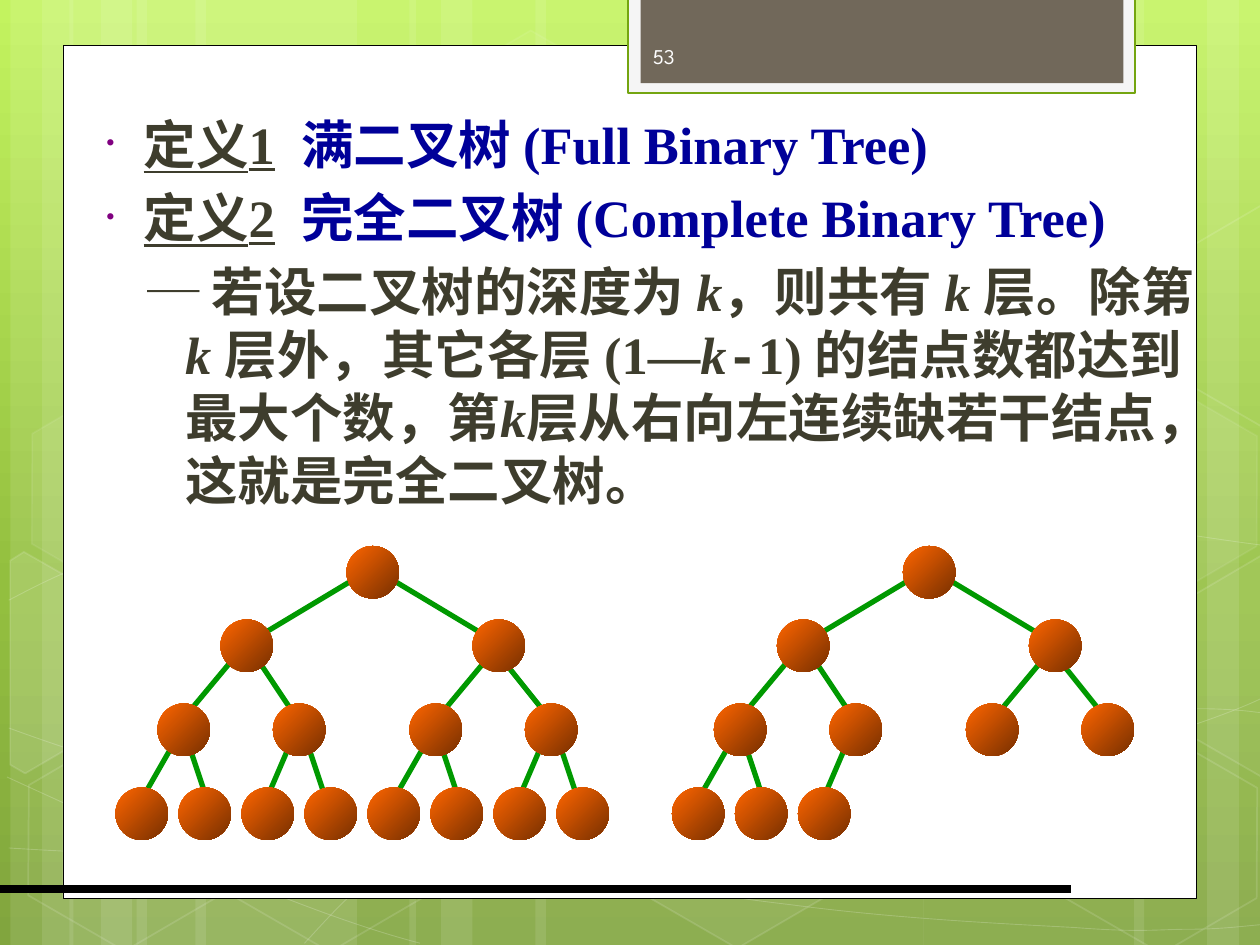
from copy import deepcopy
from lxml.etree import SubElement
from pptx import Presentation
from pptx.dml.color import RGBColor
from pptx.enum.shapes import MSO_CONNECTOR, MSO_SHAPE as SHAPE
from pptx.enum.text import MSO_ANCHOR
from pptx.oxml.ns import qn
from pptx.util import Pt

WHITE, GREEN, DARK, NAVY = "FFFFFF", "009900", "3E3D2D", "000099"
SERIF, MONO = "Times New Roman", "Courier New"

BACKDROP = [(0, "C3F35F"), (62, "93BF3F"), (100, "81A53E")]
BALL = [(0, "FF6600"), (100, "762F00")]

BARS = [(78, 126), (6, 36), (24, 60), (111.6, 126), (39.6, 36), (57.6, 60),
        (527.8, 126), (689.8, 36), (648, 60), (306, 222), (234, 36), (252, 60)]

CURVES = [
    [(5, 484.6), (44, 487), (83, 489), (137, 488), (191, 487), (258, 486), (330, 479),
     (402, 472), (504, 458), (570, 444), (636, 431), (703, 409), (725, 397)],
    [(5, 343), (26, 332), (47, 321), (87, 310), (128, 300), (186, 284), (250, 279),
     (314, 274), (392, 273), (471, 279), (550, 284), (682, 307), (725, 312)],
    [(4, 444), (91, 484), (178, 523), (240, 539)],
    [(5, 416), (27, 424), (50, 432), (92, 444), (134, 454), (197, 472), (257, 485),
     (317, 497), (392, 510), (452, 517), (512, 525), (576, 528), (614, 530),
     (652, 533), (662, 531), (680, 531), (699, 531), (712, 529), (725, 528)],
    [(174, 539), (187, 525), (200, 510), (217, 498), (235, 485), (259, 470), (279, 460),
     (300, 450), (312, 446), (338, 438), (364, 431), (413, 421), (438, 416),
     (464, 411), (467, 411), (490, 410), (512, 407), (547, 405), (572, 405),
     (597, 404), (638, 405), (638, 405), (654, 405), (670, 405), (686, 405),
     (699, 405), (711, 406), (718, 407), (724, 407.5), (722, 407), (724, 407.5)],
]

HEXAGONS = [(240.5, 26, 4, 8), (358, 424, 6, 12), (8, 425.5, 0, 12), (10, 224.6, 7, 8),
            (125.3, 426, 0, 12), (542, 326, 10, 12), (600.5, 427, 0, 12), (600.5, 226, 7, 8)]

CUT_HEXAGONS = [
    ([(5.8, 320.4), (13.7, 315.4), (69, 347), (68.4, 410.4), (14.4, 442), (5.8, 437)], 10),
    ([(666.7, 349.2), (720.7, 317.5), (726.5, 321), (726.5, 441.4), (721.4, 444.2),
      (666.7, 412.6)], 4),
    ([(666.7, 149), (720.7, 117.4), (727, 121), (726.5, 241.2), (721.4, 244), (666.7, 212.4)], 0),
]

PLAIN, TERM, TITLE = {"c": DARK}, {"c": DARK, "u": True}, {"c": NAVY}
VAR, DASH = {"c": DARK, "i": True}, {"c": DARK, "f": MONO}
PARAGRAPHS = [
    (27, True, [("定义1", TERM), ("  ", PLAIN), ("满二叉树 (Full Binary Tree)", TITLE)]),
    (27, True, [("定义2", TERM), ("  ", PLAIN), ("完全二叉树 (Complete Binary Tree)", TITLE)]),
    (50.8, False, [("─ 若设二叉树的深度为 ", PLAIN), ("k", VAR), ("，则共有 ", PLAIN), ("k ", VAR),
                   ("层。除第 ", PLAIN), ("k ", VAR), ("层外，其它各层 (1—", PLAIN), ("k", VAR),
                   ("-", DASH), ("1) 的结点数都达到最大个数，第", PLAIN), ("k", VAR),
                   ("层从右向左连续缺若干结点，这就是完全二叉树。", PLAIN)]),
]

LEVELS = [(312, [198]), (354, [126, 270]), (402, [90, 156, 234, 300]),
          (450, [66 + 36 * i for i in range(8)])]
LEAF_EDGES = [(102, 420, 78, 462), (108, 426, 120, 462), (168, 420, 150, 462), (174, 420, 186, 456)]
EDGES = [(204, 330, 144, 366), (222, 330, 282, 366),
         (132, 378, 102, 414), (144, 372, 168, 408), (282, 372, 252, 408), (288, 378, 312, 408),
         *LEAF_EDGES, *[(a + 144, b, c + 144, d) for a, b, c, d in LEAF_EDGES]]
TREES = [(0, 15), (318, 10)]
BALL_SIZE = 30


def rgb(h):
    return RGBColor.from_string(h)


def gradient(fill, stops, angle, element):
    fill.gradient()
    fill.gradient_angle = 360 - angle
    lst = next(element.iter(qn("a:gsLst")))
    while len(lst) < len(stops):
        lst.append(deepcopy(lst[0]))
    for gs, stop, (pos, color) in zip(lst, fill.gradient_stops, stops):
        stop.color.rgb = rgb(color)
        gs.set("pos", str(pos * 1000))


def paint(sp, fill=None, line=None, width=1, alphas=()):
    sp.shadow.inherit = False
    if fill:
        sp.fill.solid()
        sp.fill.fore_color.rgb = rgb(fill)
    else:
        sp.fill.background()
    if line:
        sp.line.color.rgb = rgb(line)
        sp.line.width = Pt(width)
    else:
        sp.line.fill.background()
    for clr, alpha in zip(sp.element.iter(qn("a:srgbClr")), alphas):
        SubElement(clr, qn("a:alpha"), val=str(alpha * 1000))


def shape(kind, x, y, w, h):
    return s.shapes.add_shape(kind, Pt(x), Pt(y), Pt(w), Pt(h))


def outline(points, close):
    pts = [(Pt(x), Pt(y)) for x, y in points]
    fb = s.shapes.build_freeform(*pts[0])
    fb.add_line_segments(pts[1:], close=close)
    return fb.convert_to_shape()


def curve(points):
    sp = outline(points, False)
    steps = list(sp.element.iter(qn("a:lnTo")))
    parent = steps[0].getparent()
    for i in range(0, len(steps), 3):
        bez = SubElement(parent, qn("a:cubicBezTo"))
        for step in steps[i:i + 3]:
            bez.append(step[0])
            parent.remove(step)
    return sp


def line(x1, y1, x2, y2, color, width):
    c = s.shapes.add_connector(MSO_CONNECTOR.STRAIGHT, Pt(x1), Pt(y1), Pt(x2), Pt(y2))
    c.line.color.rgb = rgb(color)
    c.line.width = Pt(width)
    SubElement(c.element.spPr, qn("a:effectLst"))


def textbox(x, y, w, h):
    tf = s.shapes.add_textbox(Pt(x), Pt(y), Pt(w), Pt(h)).text_frame
    tf.word_wrap = True
    return tf


def style(r, size, font, color):
    r.font.size, r.font.name = Pt(size), font
    r.font.color.rgb = rgb(color)


prs = Presentation()
prs.slide_width, prs.slide_height = Pt(720), Pt(540)
s = prs.slides.add_slide(prs.slide_layouts[6])
gradient(s.background.fill, BACKDROP, 90, s.element)

for x, w in BARS:
    paint(shape(SHAPE.RECTANGLE, x, 0, w, 540), WHITE, alphas=[10])
for points in CURVES:
    paint(curve(points), None, WHITE, 0.5, [20])
for x, y, fill, edge in HEXAGONS:
    sp = shape(SHAPE.HEXAGON, x, y, 126, 109.4)
    sp.adjustments[0] = 0.285
    sp.rotation = 30
    paint(sp, WHITE if fill else None, WHITE, 1, [fill, edge] if fill else [edge])
for points, fill in CUT_HEXAGONS:
    paint(outline(points, True), WHITE if fill else None, WHITE, 1, [fill, 12] if fill else [12])

paint(shape(SHAPE.RECTANGLE, 36, 26, 648, 487.2), WHITE, "000000", 0.5)
paint(shape(SHAPE.RECTANGLE, 359, -1.5, 289.7, 54.7), "F5F5F5", "74A510", 1.25)
paint(shape(SHAPE.RECTANGLE, 366, -1.5, 276, 49), "71685A")
line(0, 508, 612, 508, "000000", 4.5)

tf = textbox(48, 60.2, 648, 306)
for i, (indent, bulleted, runs) in enumerate(PARAGRAPHS):
    p = tf.paragraphs[0] if i == 0 else tf.add_paragraph()
    p.space_before = Pt(6)
    pPr = p._p.get_or_add_pPr()
    pPr.set("marL", str(Pt(indent)))
    pPr.set("indent", str(Pt(-21.6)))
    if bulleted:
        SubElement(SubElement(pPr, qn("a:buClr")), qn("a:srgbClr"), val="800080")
        SubElement(pPr, qn("a:buSzPct"), val="50000")
        SubElement(pPr, qn("a:buFont"), typeface=SERIF)
        SubElement(pPr, qn("a:buChar"), char="•")
    else:
        p.level = 1
        SubElement(pPr, qn("a:buNone"))
    for text, look in runs:
        r = p.add_run()
        r.text = text
        style(r, 30, look.get("f", SERIF), look["c"])
        r.font.bold = True
        r.font.italic, r.font.underline = look.get("i", False), look.get("u", False)

tf = textbox(366, 17.6, 105, 29)
tf.text = "53"
tf.vertical_anchor = MSO_ANCHOR.MIDDLE
style(tf.paragraphs[0].runs[0], 12, "League Spartan", "FEFEFE")

nodes = [(x, y) for y, xs in LEVELS for x in xs]
for dx, count in TREES:
    for x1, y1, x2, y2 in EDGES[:count - 1]:
        line(x1 + dx, y1, x2 + dx, y2, GREEN, 3)
    for x, y in nodes[:count]:
        sp = shape(SHAPE.OVAL, x + dx, y, BALL_SIZE, BALL_SIZE)
        paint(sp)
        gradient(sp.fill, BALL, 45, sp.element)

prs.save("out.pptx")
